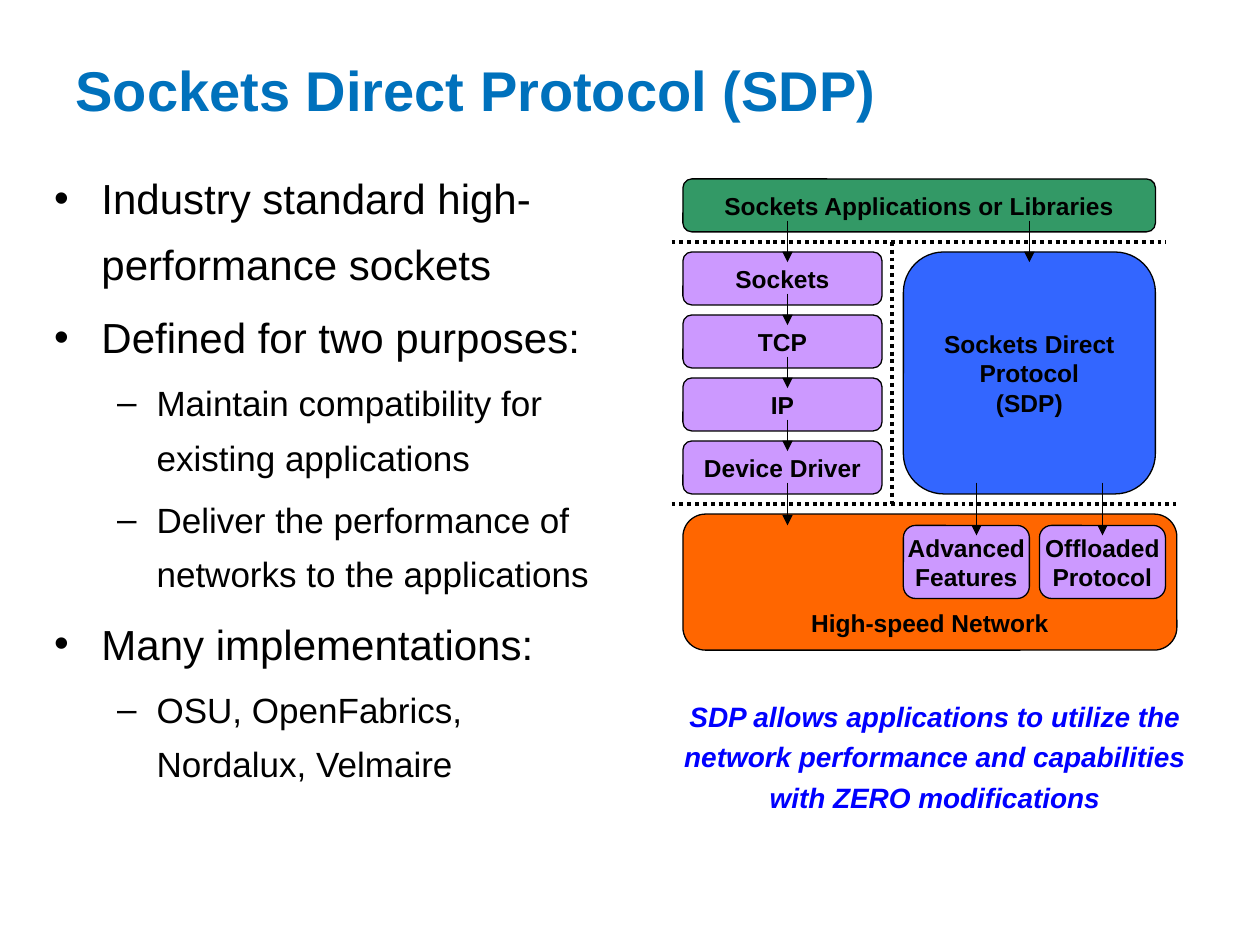
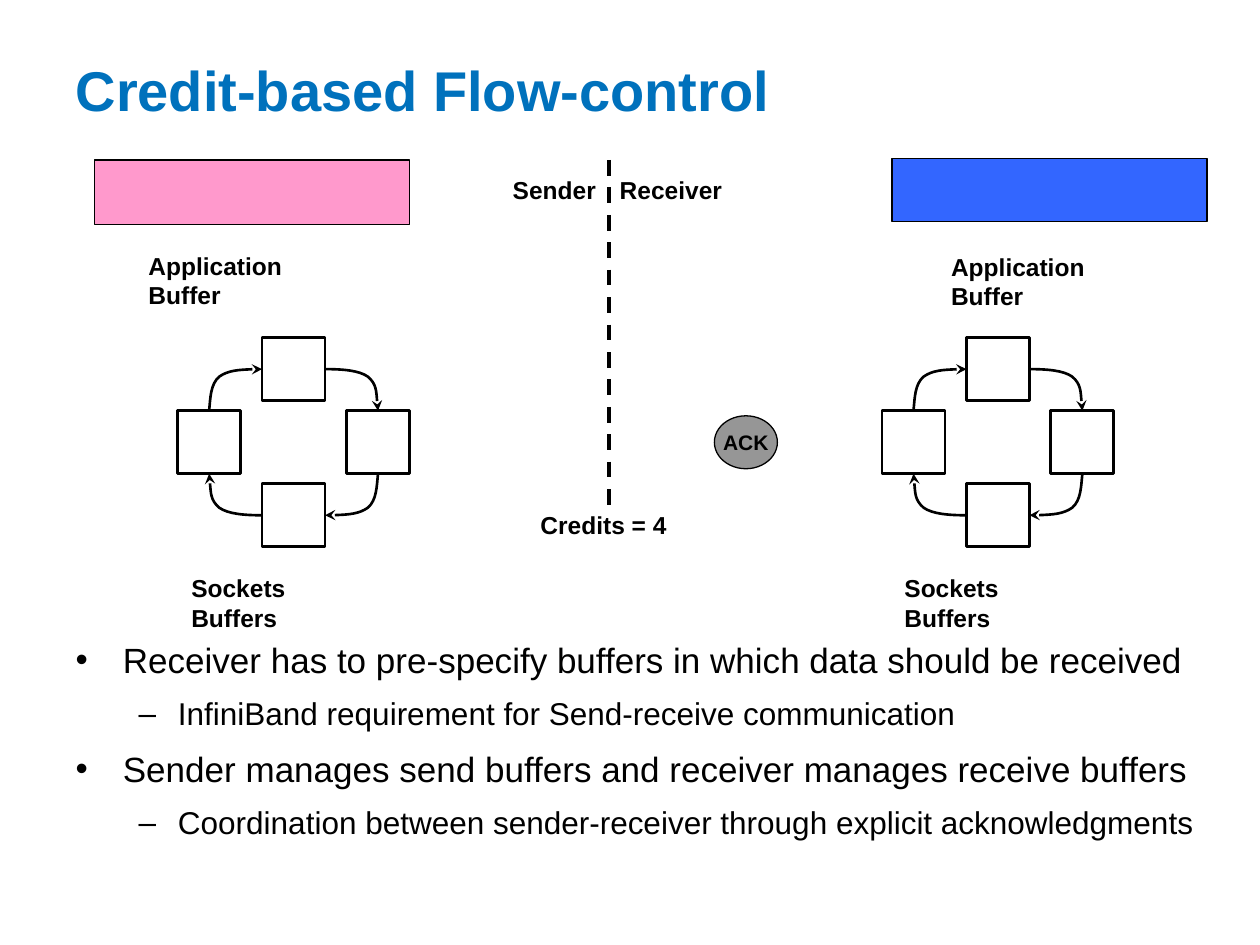
import lxml.etree
import pptx
import pptx.dml.color
import pptx.enum.dml
import pptx.enum.shapes
import pptx.enum.text
import pptx.oxml.ns
import pptx.util

Inches, Pt = pptx.util.Inches, pptx.util.Pt
RGBColor = pptx.dml.color.RGBColor
Shape = pptx.enum.shapes.MSO_SHAPE
Dash = pptx.enum.dml.MSO_LINE
Align = pptx.enum.text.PP_ALIGN
Anchor = pptx.enum.text.MSO_ANCHOR
qn = pptx.oxml.ns.qn

# Shared style
FONT = "Arial"
TITLE_BLUE = RGBColor(0x00, 0x71, 0xBC)
BLACK = RGBColor(0x00, 0x00, 0x00)
NOTE_BLUE = RGBColor(0x00, 0x00, 0xFF)
BLUE = RGBColor(0x33, 0x66, 0xFF)
GREEN = RGBColor(0x33, 0x99, 0x66)
PURPLE = RGBColor(0xCC, 0x99, 0xFF)
ORANGE = RGBColor(0xFF, 0x66, 0x00)
PINK = RGBColor(0xFF, 0x99, 0xCC)
GREY = RGBColor(0x96, 0x96, 0x96)
TITLE_AREA = (0.5, 0.17, 9, 1.08)

# Content of slide 1: bullets are (level, text)
SDP_TITLE = "Sockets Direct Protocol (SDP)"
SDP_BULLETS = [
    (0, "Industry standard high-performance sockets"),
    (0, "Defined for two purposes:"),
    (1, "Maintain compatibility for existing applications"),
    (1, "Deliver the performance of networks to the applications"),
    (0, "Many implementations:"),
    (1, "OSU, OpenFabrics, Nordalux, Velmaire"),
]
SDP_NOTE = ("SDP allows applications to utilize the network performance "
            "and capabilities with ZERO modifications")
STACK_LAYERS = ["Sockets", "TCP", "IP", "Device Driver"]
STACK_LEFT, STACK_TOP, STACK_STEP = 5.42, 2, 0.5
LAYER_WIDTH, LAYER_HEIGHT = 1.58, 0.42
# Label lines, area, fill, vertical anchor
SDP_BOXES = [
    (["High-speed Network"], (STACK_LEFT, 4.08, 3.92, 1.08), ORANGE, Anchor.BOTTOM),
    (["Sockets Applications or Libraries"], (STACK_LEFT, 1.42, 3.75, 0.42),
     GREEN, Anchor.MIDDLE),
    (["Sockets Direct", "Protocol", "(SDP)"], (7.17, 2, 2, 1.92), BLUE, Anchor.MIDDLE),
    (["Advanced", "Features"], (7.17, 4.17, 1, 0.58), PURPLE, Anchor.MIDDLE),
    (["Offloaded", "Protocol"], (8.25, 4.17, 1, 0.58), PURPLE, Anchor.MIDDLE),
]
# Start x, start y, end x, end y
BOUNDARIES = [(5.33, 1.92, 9.25, 1.92), (5.33, 4, 9.33, 4), (7.08, 1.92, 7.08, 4)]
# x, top, bottom
STACK_X = 6.25
DOWN_ARROWS = [(STACK_X, 1.75, 2.08), (STACK_X, 3.83, 4.17),
               (8.17, 1.75, 2.08), (7.75, 3.83, 4.25), (8.75, 3.83, 4.25)]

# Content of slide 2
FLOW_TITLE = "Credit-based Flow-control"
FLOW_BULLETS = [
    (0, "Receiver has to pre-specify buffers in which data should be received"),
    (1, "InfiniBand requirement for Send-receive communication"),
    (0, "Sender manages send buffers and receiver manages receive buffers"),
    (1, "Coordination between sender-receiver through explicit acknowledgments"),
]
APPLICATION_BUFFERS = [((0.75, 1.27, 2.5, 0.51), PINK), ((7.08, 1.26, 2.5, 0.5), BLUE)]
SIDE_LABELS = [
    ("Application Buffer", 1.08, 1.94), ("Application Buffer", 7.45, 1.95),
    ("Sockets Buffers", 1.42, 4.5), ("Sockets Buffers", 7.08, 4.5),
]
CENTRE_LABELS = [
    ("Sender", (3.97, 1.34, 0.86, 0.33)),
    ("Receiver", (4.82, 1.34, 1.01, 0.33)),
    ("Credits = 4", (4, 4, 1.58, 0.33)),
]
RING_CENTRES = [(2.33, 3.51), (7.92, 3.51)]
BUFFER_SIZE = 0.5
RING_X, RING_Y = 0.67, 0.58
# Bezier points from the top buffer to the right one, relative to the ring centre
QUARTER = [(0.25, -0.58), (0.39, -0.58), (0.52, -0.57), (0.59, -0.52),
           (0.66, -0.46), (0.66, -0.35), (0.67, -0.25)]


def inches(values):
    return [Inches(value) for value in values]


def add_span(para, text, size, color=BLACK, bold=True, italic=False):
    span = para.add_run()
    span.text = text
    span.font.name = FONT
    span.font.size = Pt(size)
    span.font.bold = bold
    span.font.italic = italic
    span.font.color.rgb = color


def next_para(frame, index):
    return frame.paragraphs[0] if index == 0 else frame.add_paragraph()


def place(shape, area):
    shape.left, shape.top, shape.width, shape.height = inches(area)
    shape.text_frame.auto_size = pptx.enum.text.MSO_AUTO_SIZE.NONE


def add_page(deck, title, bullets, area, sizes, spacing):
    """Add a page with its title and a two-level bullet list."""
    page = deck.slides.add_slide(deck.slide_layouts[1])
    heading, body = page.placeholders[0], page.placeholders[1]
    place(heading, TITLE_AREA)
    heading.text_frame.vertical_anchor = Anchor.MIDDLE
    para = heading.text_frame.paragraphs[0]
    para.alignment = Align.LEFT
    add_span(para, title, 32, TITLE_BLUE)

    place(body, area)
    for index, (level, text) in enumerate(bullets):
        para = next_para(body.text_frame, index)
        para.level = level
        para.line_spacing = spacing
        para.space_before = Pt(0.2 * sizes[level] if index else 0)
        add_span(para, text, sizes[level], bold=False)
    return page


def add_box(page, kind, area, fill=None, lines=(), anchor=Anchor.MIDDLE,
            size=14, border=0.75):
    box = page.shapes.add_shape(kind, *inches(area))
    box.shadow.inherit = False
    if fill is None:
        box.fill.background()
    else:
        box.fill.solid()
        box.fill.fore_color.rgb = fill
    box.line.color.rgb = BLACK
    box.line.width = Pt(border)
    frame = box.text_frame
    frame.word_wrap = False
    frame.vertical_anchor = anchor
    for index, text in enumerate(lines):
        para = next_para(frame, index)
        para.alignment = Align.CENTER
        add_span(para, text, size)
    return box


def add_label(page, text, area, align=Align.LEFT, wrap=True, size=14,
              color=BLACK, italic=False, spacing=1.0):
    label = page.shapes.add_textbox(*inches(area))
    label.text_frame.word_wrap = wrap
    para = label.text_frame.paragraphs[0]
    para.alignment = align
    para.line_spacing = spacing
    add_span(para, text, size, color, italic=italic)


def add_arrowhead(shape, kind):
    outline = shape._element.spPr.find(qn("a:ln"))
    lxml.etree.SubElement(outline, qn("a:tailEnd"), type=kind)


def add_line(page, ends, width, dash=None, head=None):
    line = page.shapes.add_connector(
        pptx.enum.shapes.MSO_CONNECTOR.STRAIGHT, *inches(ends))
    line.line.color.rgb = BLACK
    line.line.width = Pt(width)
    if dash:
        line.line.dash_style = dash
    if head:
        add_arrowhead(line, head)
    lxml.etree.SubElement(line._element.spPr, qn("a:effectLst"))


def add_curve(page, points):
    """Draw a Bezier arrow: a start point, then three points per segment."""
    start, *rest = [inches(point) for point in points]
    builder = page.shapes.build_freeform(*start)
    builder.add_line_segments(rest, close=False)
    curve = builder.convert_to_shape()
    curve.shadow.inherit = False
    curve.fill.background()
    curve.line.color.rgb = BLACK
    curve.line.width = Pt(1.5)
    add_arrowhead(curve, "stealth")
    outline = next(curve._element.iter(qn("a:path")))
    steps = outline.findall(qn("a:lnTo"))
    for first in range(0, len(steps), 3):
        segment = lxml.etree.SubElement(outline, qn("a:cubicBezTo"))
        for step in steps[first:first + 3]:
            segment.append(step[0])
            outline.remove(step)


def add_ring(page, centre_x, centre_y):
    """Draw four socket buffers joined clockwise by curved arrows."""
    half = BUFFER_SIZE / 2
    for dx, dy in [(0, -RING_Y), (RING_X, 0), (0, RING_Y), (-RING_X, 0)]:
        area = (centre_x + dx - half, centre_y + dy - half, BUFFER_SIZE, BUFFER_SIZE)
        add_box(page, Shape.RECTANGLE, area, border=1.5)
    for flip_x, flip_y in [(1, 1), (1, -1), (-1, -1), (-1, 1)]:
        points = [(centre_x + flip_x * x, centre_y + flip_y * y) for x, y in QUARTER]
        # A single mirroring turns the direction round
        add_curve(page, points if flip_x == flip_y else points[::-1])


def build_sdp(deck):
    page = add_page(deck, SDP_TITLE, SDP_BULLETS, (0.33, 1.2, 4.67, 5.55), (24, 20), 1.3)

    # Protocol stack
    for lines, area, fill, anchor in SDP_BOXES:
        add_box(page, Shape.ROUNDED_RECTANGLE, area, fill, lines, anchor)
    for index, layer in enumerate(STACK_LAYERS):
        area = (STACK_LEFT, STACK_TOP + index * STACK_STEP, LAYER_WIDTH, LAYER_HEIGHT)
        add_box(page, Shape.ROUNDED_RECTANGLE, area, PURPLE, [layer])

    # Boundaries and arrows
    for ends in BOUNDARIES:
        add_line(page, ends, 2.25, dash=Dash.ROUND_DOT)
    between = [(STACK_X, 2.33 + index * STACK_STEP, 2.58 + index * STACK_STEP)
               for index in range(len(STACK_LAYERS) - 1)]
    for x, top, bottom in DOWN_ARROWS + between:
        add_line(page, (x, top, x, bottom), 0.75, head="triangle")

    add_label(page, SDP_NOTE, (5.17, 5.45, 4.5, 1.06), Align.CENTER, size=16,
              color=NOTE_BLUE, italic=True, spacing=1.2)


def build_flow_control(deck):
    page = add_page(deck, FLOW_TITLE, FLOW_BULLETS, (0.5, 4.95, 9.25, 1.8), (20, 18), 1.2)

    # Buffers on both sides
    for area, fill in APPLICATION_BUFFERS:
        add_box(page, Shape.RECTANGLE, area, fill)
    for centre in RING_CENTRES:
        add_ring(page, *centre)
    for text, left, top in SIDE_LABELS:
        add_label(page, text, (left, top, 1.4, 0.55))

    # Border between sender and receiver
    add_line(page, (4.83, 1.27, 4.83, 4.01), 2.25, dash=Dash.DASH)
    for text, area in CENTRE_LABELS:
        add_label(page, text, area, Align.CENTER, wrap=False)
    add_box(page, Shape.OVAL, (5.67, 3.3, 0.5, 0.42), GREY, ["ACK"], size=12)


def main():
    deck = pptx.Presentation()
    deck.slide_width, deck.slide_height = Inches(10), Inches(7.5)
    build_sdp(deck)
    build_flow_control(deck)
    deck.save("out.pptx")


if __name__ == "__main__":
    main()
